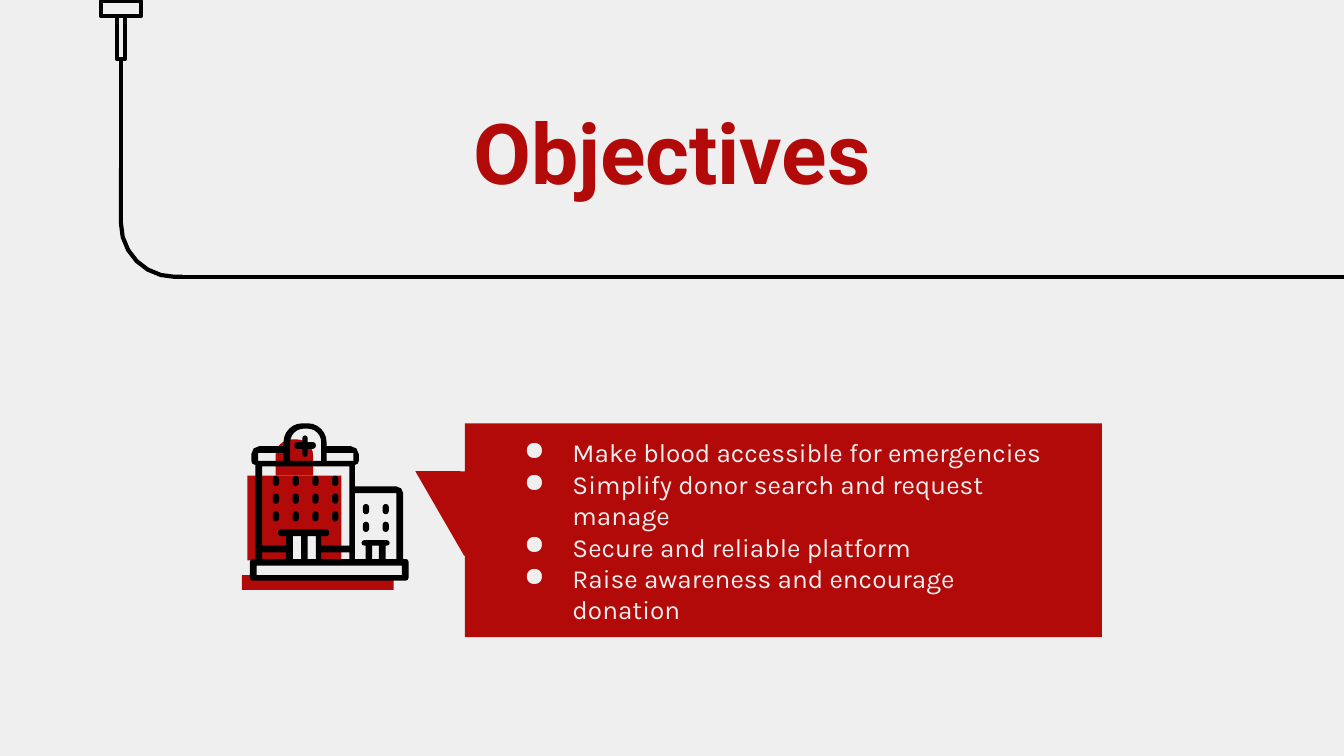
from math import cos, dist, pi, sin

from lxml.etree import SubElement
from pptx import Presentation
from pptx.dml.color import RGBColor
from pptx.enum.shapes import MSO_CONNECTOR, MSO_SHAPE
from pptx.enum.text import MSO_ANCHOR, PP_ALIGN
from pptx.oxml.ns import qn
from pptx.util import Inches, Pt

PAPER = RGBColor(0xEF, 0xEF, 0xEF)
RED = RGBColor(0xB2, 0x09, 0x09)
BLACK = RGBColor(0, 0, 0)

# Square grid: 1000 columns across the slide
deck = Presentation()
deck.slide_width, deck.slide_height = Inches(10), Inches(5.625)
CELL = deck.slide_width // 1000
slide = deck.slides.add_slide(deck.slide_layouts[6])
slide.background.fill.solid()
slide.background.fill.fore_color.rgb = PAPER
shapes = slide.shapes


def place(kind, spot, fill, line=None, width=2.25):
    """A preset shape at spot: left, top, width, height in cells."""
    form = shapes.add_shape(kind, *[int(n * CELL) for n in spot])
    form.shadow.inherit = False
    if fill is None:
        form.fill.background()
    else:
        form.fill.solid()
        form.fill.fore_color.rgb = fill
    if line is None:
        form.line.fill.background()
    else:
        form.line.color.rgb = line
        form.line.width = Pt(width)
    return form


def draw(rings, close=True):
    """One freeform of several rings; a corner is (x, y) or (x, y, radius)."""
    pen = None
    for ring in rings:
        dots = []
        for i, (x, y, *rest) in enumerate(ring):
            r = rest[0] if rest else 0
            if not r:
                dots.append((x * CELL, y * CELL))
                continue
            back, ahead = ring[i - 1][:2], ring[(i + 1) % len(ring)][:2]
            a, b = dist(back, (x, y)), dist(ahead, (x, y))
            ux, uy = (back[0] - x) / a, (back[1] - y) / a
            vx, vy = (ahead[0] - x) / b, (ahead[1] - y) / b
            steps = 2 if r < 7 else 6
            for step in range(steps + 1):
                turn = step * pi / 2 / steps
                c, s = 1 - cos(turn), 1 - sin(turn)
                dots.append(((x + r * (ux * s + vx * c)) * CELL,
                             (y + r * (uy * s + vy * c)) * CELL))
        if pen is None:
            pen = shapes.build_freeform(*dots[0], scale=1.0)
        else:
            pen.move_to(*dots[0])
        pen.add_line_segments(dots[1:], close=close)
    form = pen.convert_to_shape()
    form.shadow.inherit = False
    form.line.fill.background()
    form.fill.solid()
    return form


# Drip chamber, with its outlines
RECT = MSO_SHAPE.RECTANGLE
place(RECT, (76, 2, 28, 10), PAPER, BLACK, 0.75)
neck = place(RECT, (87.5, 13, 5, 32), PAPER, BLACK, 0.75)
place(RECT, (75, 1, 30, 11), None, BLACK)
place(RECT, (87, 12, 6, 32), None, BLACK)

# Tube: down, round the bend and across
for x, y, x2, y2 in [(90, 45, 90, 128), (132, 206, 1000, 206)]:
    tube = shapes.add_connector(
        MSO_CONNECTOR.STRAIGHT, *[n * CELL for n in (x, y, x2, y2)])
    tube.line.color.rgb = BLACK
    tube.line.width = Pt(2.25)
    SubElement(tube._element.spPr, qn("a:effectLst"))
    if x == x2:
        tube.begin_connect(neck, 2)
bend = draw([[(90, 125), (90, 206, 40), (136, 206)]], close=False)
bend.fill.background()
bend.line.color.rgb = BLACK
bend.line.width = Pt(2.25)

# Callout: pointer and panel
place(MSO_SHAPE.ISOSCELES_TRIANGLE, (318, 335, 73, 63), RED).rotation = 60
panel = place(RECT, (346, 315, 474, 159), RED)

# Bulleted goals
frame = panel.text_frame
frame.word_wrap = True
frame.vertical_anchor = MSO_ANCHOR.TOP
frame.margin_left = frame.margin_right = 30 * CELL
frame.margin_top = frame.margin_bottom = 10 * CELL
goals = [
    "Make blood accessible for emergencies",
    "Simplify donor search and request manage",
    "Secure and reliable platform",
    "Raise awareness and encourage donation",
]
for i, goal in enumerate(goals):
    para = frame.add_paragraph() if i else frame.paragraphs[0]
    para.alignment = PP_ALIGN.LEFT
    props = para._p.get_or_add_pPr()
    props.set("marL", str(50 * CELL))
    props.set("indent", str(-36 * CELL))
    tint = SubElement(props, qn("a:buClr"))
    SubElement(tint, qn("a:srgbClr"), val=str(PAPER))
    SubElement(props, qn("a:buChar"), char="●")
    run = para.add_run()
    run.text = goal
    run.font.name = "Karla"
    run.font.size = Pt(14)
    run.font.color.rgb = PAPER

# Title
title = shapes.add_textbox(*[n * CELL for n in (78, 67, 844, 90)]).text_frame
title.word_wrap = True
title.vertical_anchor = MSO_ANCHOR.MIDDLE
title.margin_left = title.margin_right = 10 * CELL
title.margin_top = title.margin_bottom = 10 * CELL
title.paragraphs[0].alignment = PP_ALIGN.CENTER
run = title.paragraphs[0].add_run()
run.text = "Objectives"
run.font.name = "Roboto"
run.font.size = Pt(45)
run.font.bold = True
run.font.color.rgb = RED

# Hospital: red backing
place(RECT, (180, 428, 113, 11), RED)
place(RECT, (204, 399, 12, 18), RED)
roof = [(205, 327, 12), (233, 327, 12), (233, 354), (205, 354)]
block = [(184, 354), (254, 354), (254, 417), (229, 417),
         (229, 405), (207, 405), (207, 417), (184, 417)]
for ring in (roof, block):
    draw([ring]).fill.fore_color.rgb = RED

# Hospital: cross
cross = [(225, 324, 2), (229, 324, 2), (229, 329), (235, 329, 2),
         (235, 334, 2), (229, 334), (229, 340, 2), (225, 340, 2),
         (225, 334), (219, 334, 2), (219, 329, 2), (225, 329)]
draw([cross]).fill.fore_color.rgb = BLACK

# Hospital: windows of the tower and the annex
for left, top, cols, rows in [(203, 354, 4, 3), (270, 375, 2, 2)]:
    for row in range(rows):
        for col in range(cols):
            spot = (left + 14.7 * col, top + 13.2 * row, 4.6, 7.6)
            pane = place(MSO_SHAPE.ROUNDED_RECTANGLE, spot, BLACK)
            pane.adjustments[0] = 0.5

# Hospital: door, then the walls with their openings
place(RECT, (216, 397, 21, 22), PAPER)
walls = [(211, 315, 14), (243, 315, 14), (243, 332), (267, 332, 6),
         (267, 346, 3), (264, 346), (264, 362), (300, 362, 5),
         (300, 416), (304, 416, 2), (304, 432, 2), (186, 432, 2),
         (186, 416, 2), (190, 416), (190, 346), (187, 346, 3),
         (187, 332, 6), (211, 332)]
dome = [(216, 319, 10), (239, 319, 10), (239, 343), (216, 343)]
tower = [(195, 347), (260, 347), (260, 406), (239, 406), (239, 399),
         (245, 399, 2), (245, 394, 2), (207, 394, 2), (207, 399, 2),
         (213, 399), (213, 406), (195, 406)]
annex = [(264, 367), (295, 367), (295, 416), (287, 416), (287, 406),
         (290, 406, 2), (290, 402, 2), (269, 402, 2), (269, 406, 2),
         (272, 406), (272, 416), (264, 416)]
slots = [(192, 337, 19, 6), (243, 337, 20, 6), (195, 411, 18, 5),
         (239, 411, 21, 5), (218, 399, 6, 17), (229, 399, 6, 17),
         (277, 406, 5, 10), (191, 421, 108, 7)]
holes = [[(x, y), (x + w, y), (x + w, y + h), (x, y + h)] for x, y, w, h in slots]
draw([walls, dome, tower, annex] + holes).fill.fore_color.rgb = BLACK

deck.save("out.pptx")
